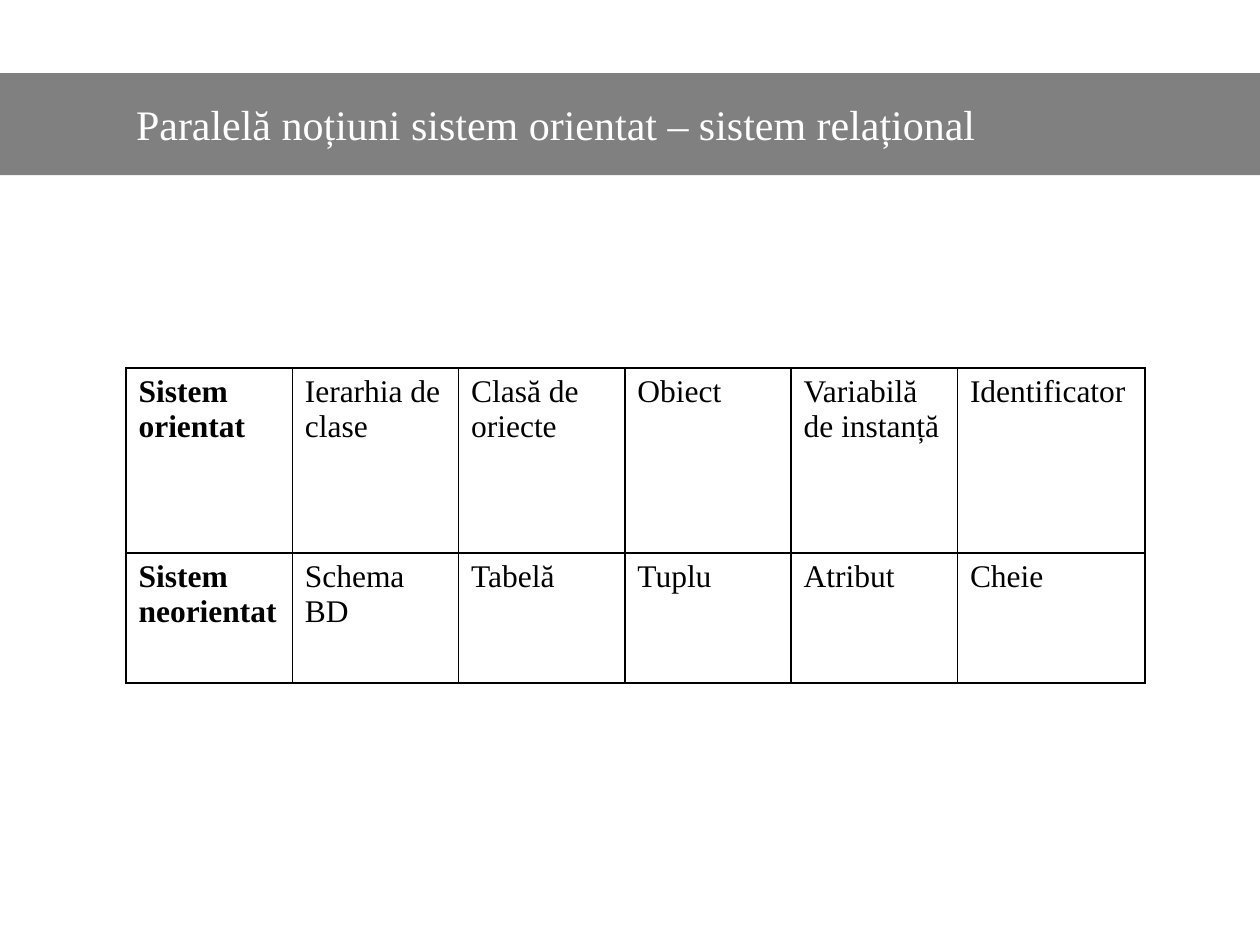
"""Build a slide that compares object-oriented and relational terms in a table."""
from lxml import etree
from pptx import Presentation
from pptx.dml.color import RGBColor
from pptx.enum import text
from pptx.oxml import ns
from pptx.util import Inches, Pt

TITLE = "Paralelă noțiuni sistem orientat – sistem relațional"
ROWS = [
    ["Sistem orientat", "Ierarhia de clase", "Clasă de oriecte", "Obiect",
     "Variabilă de instanță", "Identificator"],
    ["Sistem neorientat", "Schema BD", "Tabelă", "Tuplu", "Atribut", "Cheie"],
]
COL_WIDTHS = [1.32] * 5 + [1.49]
ROW_HEIGHTS = [1.47, 1.03]
COLORS = {"band": "808080", "title": "FFFFFF", "text": "000000", "border": "000000"}
FONT = "Times New Roman"


def rgb(name):
    return RGBColor.from_string(COLORS[name])


def set_font(p, size, color, bold=False):
    p.font.name = FONT
    p.font.size = Pt(size)
    p.font.bold = bold
    p.font.color.rgb = rgb(color)


def set_borders(cell):
    tc_pr = cell._tc.get_or_add_tcPr()
    for i, side in enumerate(("lnL", "lnR", "lnT", "lnB")):
        ln = etree.Element(ns.qn(f"a:{side}"), w=str(Pt(1)))
        fill = etree.SubElement(ln, ns.qn("a:solidFill"))
        etree.SubElement(fill, ns.qn("a:srgbClr"), val=COLORS["border"])
        tc_pr.insert(i, ln)


def add_title(slide):
    sp = slide.shapes.title
    sp.left, sp.top, sp.width, sp.height = map(Inches, (-0.02, 0.58, 10.02, 0.81))
    sp.fill.solid()
    sp.fill.fore_color.rgb = rgb("band")
    tf = sp.text_frame
    tf.text = TITLE
    tf.word_wrap = True
    tf.auto_size = text.MSO_AUTO_SIZE.NONE
    tf.vertical_anchor = text.MSO_ANCHOR.MIDDLE
    tf.margin_left = Inches(1.1)
    p = tf.paragraphs[0]
    p.alignment = text.PP_ALIGN.LEFT
    set_font(p, 24, "title")


def add_terms_table(slide):
    table = slide.shapes.add_table(
        len(ROWS), len(COL_WIDTHS), Inches(1), Inches(2.92),
        Inches(sum(COL_WIDTHS)), Inches(sum(ROW_HEIGHTS))).table
    table.first_row = table.horz_banding = False
    for col, width in zip(table.columns, COL_WIDTHS):
        col.width = Inches(width)
    for row, height, terms in zip(table.rows, ROW_HEIGHTS, ROWS):
        row.height = Inches(height)
        for i, (cell, term) in enumerate(zip(row.cells, terms)):
            cell.text = term
            cell.fill.background()
            set_borders(cell)
            set_font(cell.text_frame.paragraphs[0], 18, "text", bold=i == 0)


def main():
    prs = Presentation()
    prs.slide_width, prs.slide_height = Inches(10), Inches(7.5)
    slide = prs.slides.add_slide(prs.slide_layouts[5])
    add_title(slide)
    add_terms_table(slide)
    prs.save("out.pptx")


if __name__ == "__main__":
    main()
